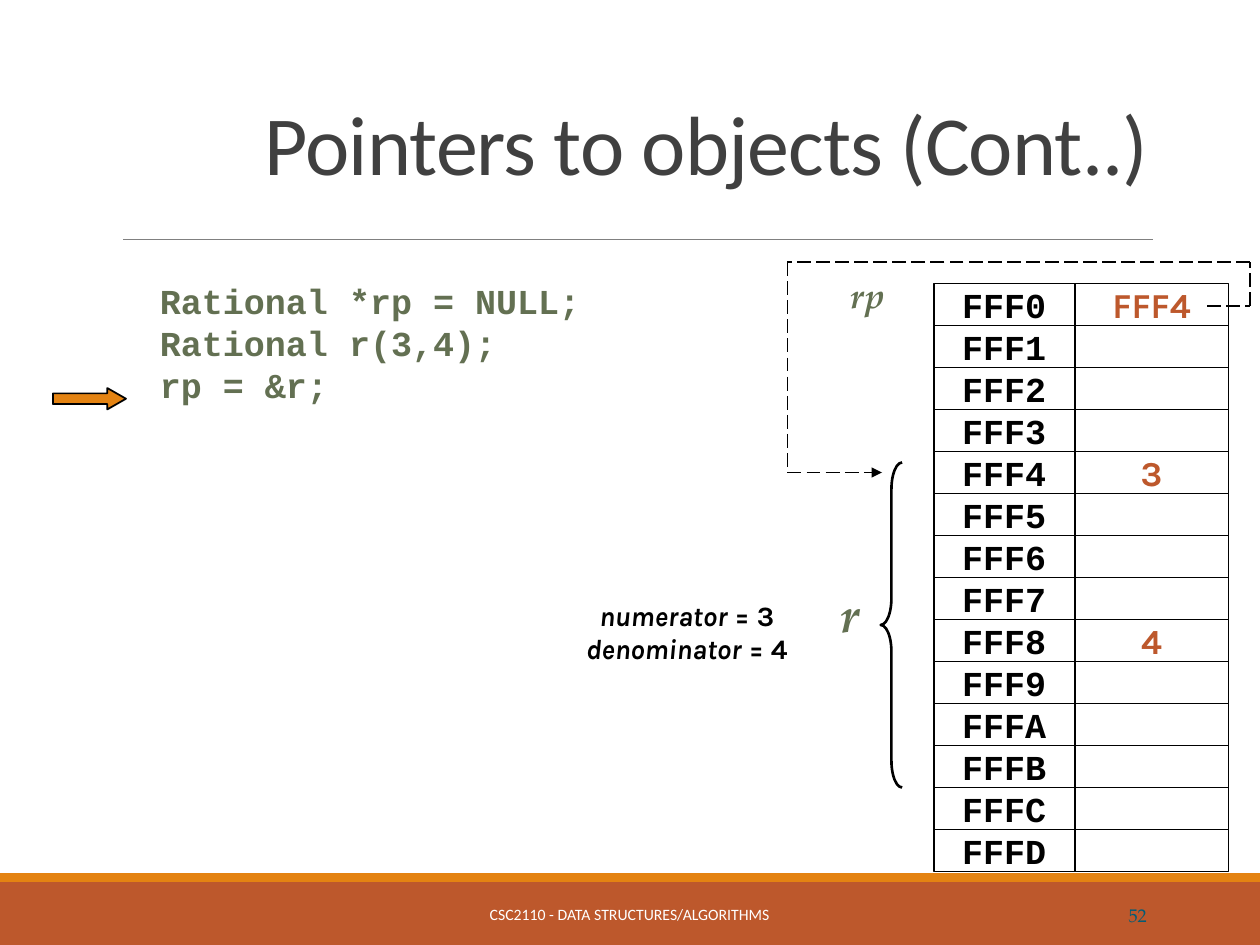
from dataclasses import dataclass

import pptx
import pptx.util
import pptx.dml.color
import pptx.enum.dml
import pptx.enum.shapes
import pptx.enum.text
import pptx.oxml
import pptx.oxml.ns

Inches, Pt = pptx.util.Inches, pptx.util.Pt
RGB = pptx.dml.color.RGBColor.from_string
SHAPE = pptx.enum.shapes.MSO_SHAPE
ALIGN = pptx.enum.text.PP_ALIGN
ANCHOR = pptx.enum.text.MSO_ANCHOR


@dataclass(frozen=True)
class Theme:
    rust: str = "BD582C"
    orange: str = "E48312"
    olive: str = "637052"
    teal: str = "045C75"
    dark: str = "404040"
    gray: str = "808080"
    black: str = "000000"
    white: str = "FFFFFF"
    heading: str = "Calibri"
    code: str = "Courier New"
    label: str = "Karla"
    serif: str = "TeX Gyre Pagella"
    title_size: float = 48
    object_size: float = 28
    code_size: float = 20
    note_size: float = 16
    number_size: float = 10.5
    footer_size: float = 9


theme = Theme()


def write(sp, text, font, size, color, bold=False, italic=False,
          align=ALIGN.LEFT, anchor=ANCHOR.TOP, wrap=True):
    """Fill a shape with text in one format and return its text frame."""
    tf = sp.text_frame
    tf.text = text
    tf.word_wrap = wrap
    tf.vertical_anchor = anchor
    for p in tf.paragraphs:
        p.alignment = align
        for r in p.runs:
            r.font.name, r.font.size = font, Pt(size)
            r.font.bold, r.font.italic = bold, italic
            r.font.color.rgb = RGB(color)
    return tf


def add_shape(kind, x, y, w, h, fill=None, line=None, width=1):
    sp = s.shapes.add_shape(kind, Inches(x), Inches(y), Inches(w), Inches(h))
    sp.shadow.inherit = False
    if fill:
        sp.fill.solid()
        sp.fill.fore_color.rgb = RGB(fill)
    else:
        sp.fill.background()
    if line:
        sp.line.color.rgb = RGB(line)
        sp.line.width = Pt(width)
    else:
        sp.line.fill.background()
    return sp


prs = pptx.Presentation()
prs.slide_width, prs.slide_height = Inches(10), Inches(7.5)
s = prs.slides.add_slide(prs.slide_layouts[5])

# Footer bands
add_shape(SHAPE.RECTANGLE, 0, 7, 10, 0.5, theme.rust)
add_shape(SHAPE.RECTANGLE, 0, 6.93, 10, 0.07, theme.orange)

# Title
title = s.shapes.title
title.left, title.top = Inches(2), Inches(0.35)
title.width, title.height = Inches(7.42), Inches(1.23)
tf = write(title, "Pointers to objects (Cont..)", theme.heading, theme.title_size,
           theme.dark, anchor=ANCHOR.BOTTOM)
tf.auto_size = pptx.enum.text.MSO_AUTO_SIZE.NONE
tf.paragraphs[0].line_spacing = 0.85
tf.paragraphs[0].runs[0].font._element.set("spc", "-50")

# Footer text
sp = s.shapes.add_textbox(Inches(3.02), Inches(7.06), Inches(3.95), Inches(0.4))
write(sp, "CSC2110 - DATA STRUCTURES/ALGORITHMS", theme.heading, theme.footer_size,
      theme.white, align=ALIGN.CENTER, anchor=ANCHOR.MIDDLE)
sp = s.shapes.add_textbox(Inches(8.12), Inches(7.06), Inches(1.08), Inches(0.4))
write(sp, "52", theme.serif, theme.number_size, theme.teal,
      align=ALIGN.RIGHT, anchor=ANCHOR.MIDDLE)

# Code, with an arrow at the current statement
sp = s.shapes.add_textbox(Inches(1.17), Inches(2.17), Inches(4.92), Inches(1.67))
tf = write(sp, "Rational *rp = NULL;\nRational r(3,4);\nrp = &r;",
           theme.code, theme.code_size, theme.olive, bold=True)
for p in tf.paragraphs:
    p.line_spacing = Pt(24)
    pPr = p._p.get_or_add_pPr()
    pPr.set("marL", str(Inches(0.38)))
    pPr.set("indent", str(Inches(-0.38)))
arrow = add_shape(SHAPE.RIGHT_ARROW, 0.42, 3.08, 0.58, 0.17, theme.orange, theme.black)
arrow.adjustments[1] = 0.875

# Memory cells: address on the left, value on the right
values = {0: "FFF4", 4: "3", 8: "4"}
row_height = 1 / 3
for row in range(14):
    y = 2.25 + row * row_height
    value = add_shape(SHAPE.RECTANGLE, 8.53, y, 1.22, row_height, line=theme.black)
    if row in values:
        write(value, values[row], theme.label, theme.code_size, theme.rust, bold=True,
              align=ALIGN.CENTER, anchor=ANCHOR.MIDDLE, wrap=False)
    address = add_shape(SHAPE.RECTANGLE, 7.41, y, 1.12, row_height, line=theme.black)
    write(address, f"FFF{row:X}", theme.code, theme.code_size, theme.black, bold=True,
          align=ALIGN.CENTER, anchor=ANCHOR.MIDDLE, wrap=False)

# The object r spans eight cells
brace = add_shape(SHAPE.LEFT_BRACE, 6.99, 3.67, 0.17, 2.58, line=theme.black, width=1.5)
brace.adjustments[0] = 1.25
sp = s.shapes.add_textbox(Inches(4.49), Inches(4.7), Inches(1.92), Inches(0.64))
tf = write(sp, "numerator\ndenominator", theme.label, theme.note_size, theme.black,
           bold=True, italic=True, align=ALIGN.CENTER)
for p, text in zip(tf.paragraphs, (" = 3", " = 4")):
    r = p.add_run()
    r.text = text
    r.font.name, r.font.size = theme.label, Pt(theme.note_size)
    r.font.bold, r.font.italic = True, False
    r.font.color.rgb = RGB(theme.black)

# Title rule, and the dashed pointer path from the value of rp to cell FFF4
pointer = s.shapes.add_group_shape()
corners = [(9.58, 2.43), (9.92, 2.43), (9.92, 2.08), (6.25, 2.08), (6.25, 3.75), (7, 3.75)]
lines = [(s.shapes, (0.98, 1.9), (9.15, 1.9), theme.gray, 0.5)]
lines += [(pointer.shapes, a, b, theme.black, 1) for a, b in zip(corners, corners[1:])]
for shapes, start, end, color, width in lines:
    line = shapes.add_connector(pptx.enum.shapes.MSO_CONNECTOR.STRAIGHT,
                                *map(Inches, start + end))
    line.line.color.rgb = RGB(color)
    line.line.width = Pt(width)
    if shapes is not s.shapes:
        line.line.dash_style = pptx.enum.dml.MSO_LINE.LONG_DASH
    if end == corners[-1]:
        tail = pptx.oxml.parse_xml(
            f'<a:tailEnd {pptx.oxml.ns.nsdecls("a")} type="triangle"/>')
        line.line._get_or_add_ln().append(tail)
    line._element.spPr.append(
        pptx.oxml.parse_xml(f'<a:effectLst {pptx.oxml.ns.nsdecls("a")}/>'))

# Variable names
for text, x, y, w, h, size in (("r", 6.67, 4.58, 0.33, 0.57, theme.object_size),
                               ("rp", 6.75, 2.12, 0.75, 0.5, theme.code_size)):
    sp = s.shapes.add_textbox(Inches(x), Inches(y), Inches(w), Inches(h))
    tf = write(sp, text, theme.serif, size, theme.olive, bold=True, italic=True)
    tf.margin_left = tf.margin_right = 0

prs.save("out.pptx")
